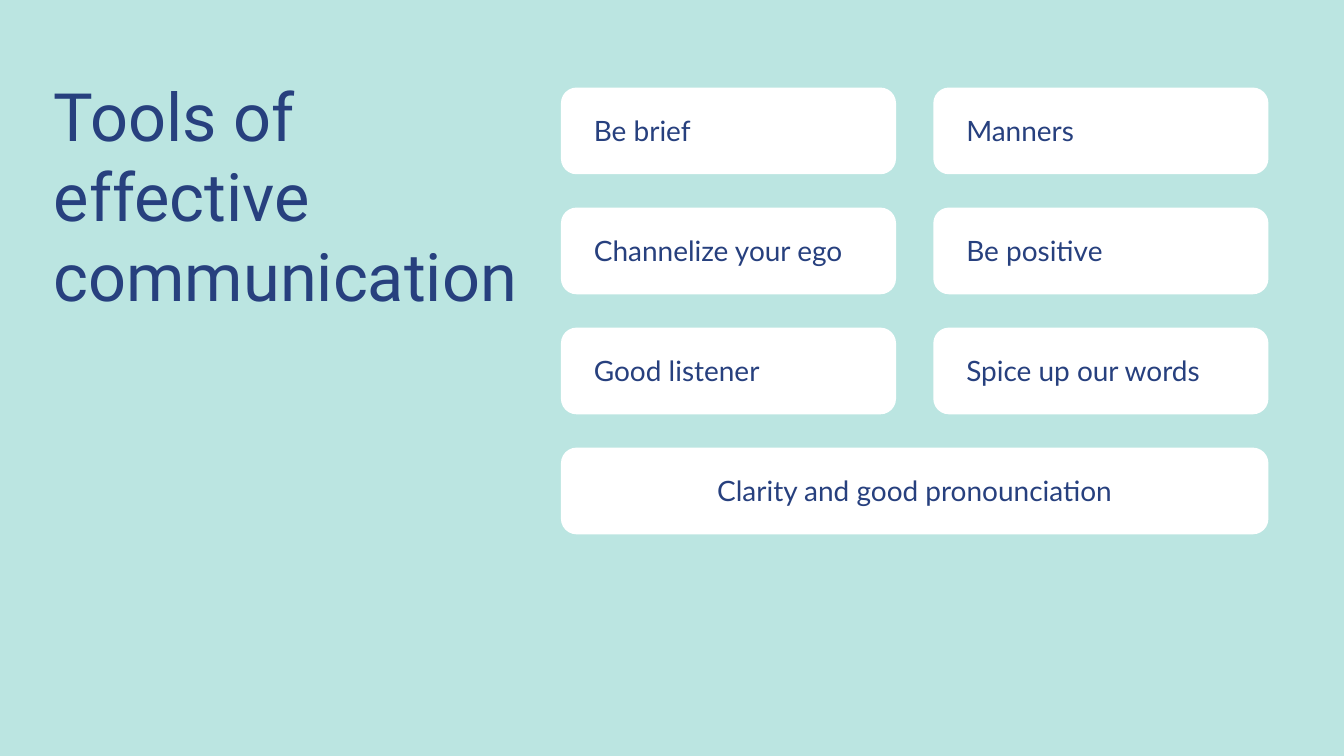
"""Build a slide of seven cards on the tools of effective communication."""
from pptx import Presentation
from pptx.dml.color import RGBColor
from pptx.enum import shapes, text
from pptx.util import Pt

NAVY, MINT, WHITE = "27407E", "BBE5E1", "FFFFFF"
LEFT, TOP = 601, 93.8
WIDTH, HIGH = 359, 92.9
STEP_X, STEP_Y = 399, 128.6
RADIUS = 0.18


def paint(fill, color):
    fill.solid()
    fill.fore_color.rgb = RGBColor.from_string(color)


def write(shape, words, font="Lato", size=30, line=39, align="LEFT", pad=(0, 0)):
    frame = shape.text_frame
    frame.word_wrap = True
    frame.auto_size = text.MSO_AUTO_SIZE.NONE
    frame.vertical_anchor = text.MSO_ANCHOR.TOP
    frame.margin_left = frame.margin_right = Pt(pad[0])
    frame.margin_top, frame.margin_bottom = Pt(pad[1]), 0
    para = frame.paragraphs[0]
    para.alignment = text.PP_ALIGN[align]
    para.line_spacing = Pt(line)
    run = para.add_run()
    run.text = words
    run.font.name = font
    run.font.size = Pt(size)
    run.font.color.rgb = RGBColor.from_string(NAVY)


deck = Presentation()
deck.slide_width, deck.slide_height = Pt(1440), Pt(810)
slide = deck.slides.add_slide(deck.slide_layouts[5])
paint(slide.background.fill, MINT)

title = slide.shapes.title
title.left, title.top, title.width, title.height = Pt(57.6), Pt(80.6), Pt(520), Pt(257)
write(title, "Tools of effective communication", font="Roboto", size=71.4, line=85.7)

rows = [
    ["Be brief", "Manners"],
    ["Channelize your ego", "Be positive"],
    ["Good listener", "Spice up our words"],
    ["Clarity and good pronounciation"],
]
for i, row in enumerate(rows):
    wide = len(row) == 1
    width = STEP_X + WIDTH if wide else WIDTH
    for j, words in enumerate(row):
        card = slide.shapes.add_shape(
            shapes.MSO_SHAPE.ROUNDED_RECTANGLE,
            Pt(LEFT + j * STEP_X), Pt(TOP + i * STEP_Y), Pt(width), Pt(HIGH))
        card.adjustments[0] = RADIUS
        card.shadow.inherit = False
        card.line.fill.background()
        paint(card.fill, WHITE)
        write(card, words, align="CENTER" if wide else "LEFT", pad=(30.4, 19.8))

deck.save("out.pptx")
